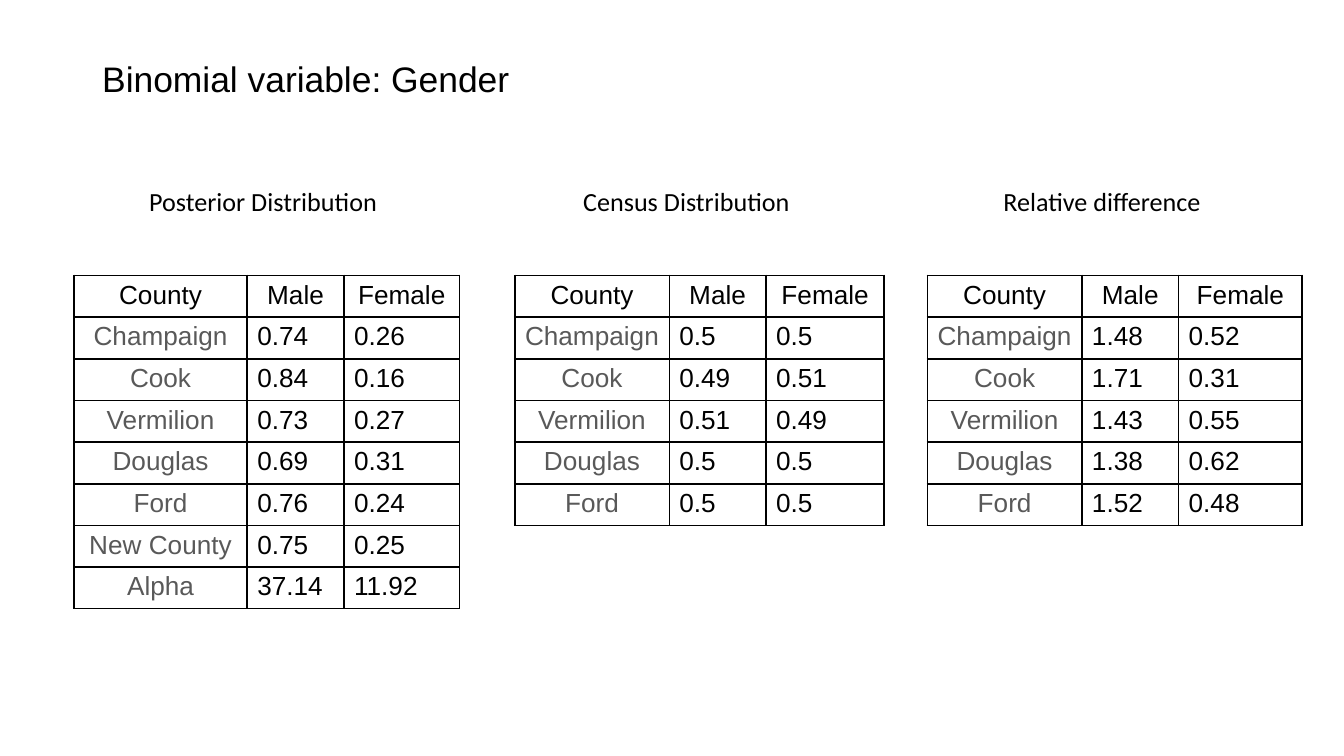
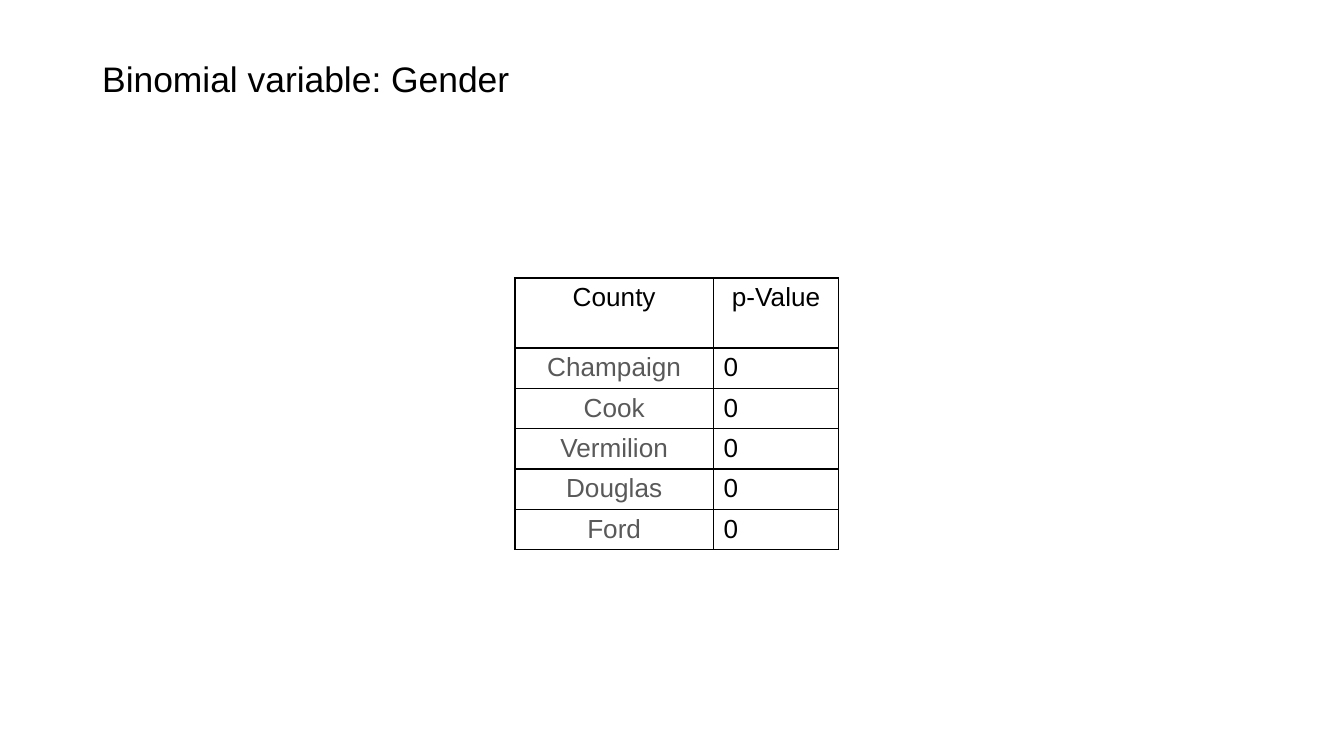
from pptx import Presentation
from pptx.dml.color import RGBColor
from pptx.enum.text import MSO_ANCHOR, MSO_AUTO_SIZE, PP_ALIGN
from pptx.oxml import parse_xml
from pptx.oxml.ns import nsdecls
from pptx.util import Inches, Pt

BLACK = RGBColor(0x00, 0x00, 0x00)
GREY = RGBColor(0x59, 0x59, 0x59)

TITLE = "Binomial variable: Gender"
COUNTIES = ["Champaign", "Cook", "Vermilion", "Douglas", "Ford"]
GENDER_HEADER = ["County", "Male", "Female"]

# Caption, caption left, table left, column widths, row names, values
GENDER_TABLES = [
    ("Posterior Distribution ", 0.86, 0.55, [1.29, 0.72, 0.86],
     COUNTIES + ["New County", "Alpha"],
     [("0.74", "0.26"), ("0.84", "0.16"), ("0.73", "0.27"), ("0.69", "0.31"),
      ("0.76", "0.24"), ("0.75", "0.25"), ("37.14", "11.92")]),
    ("Census Distribution ", 4.01, 3.83, [1.15, 0.72, 0.88], COUNTIES,
     [("0.5", "0.5"), ("0.49", "0.51"), ("0.51", "0.49"), ("0.5", "0.5"),
      ("0.5", "0.5")]),
    ("Relative difference", 7.08, 6.9, [1.15, 0.72, 0.92], COUNTIES,
     [("1.48", "0.52"), ("1.71", "0.31"), ("1.43", "0.55"), ("1.38", "0.62"),
      ("1.52", "0.48")]),
]
P_VALUE_HEADER = ["County", "p-Value"]
P_VALUES = [("0",)] * len(COUNTIES)

TEXT_MARGINS = dict(margin_left=Inches(0.07), margin_right=Inches(0.07),
                    margin_top=Inches(0.04), margin_bottom=Inches(0.04))
CELL_MARGINS = dict(margin_left=Pt(5.4), margin_right=Pt(5.4),
                    margin_top=Pt(2.7), margin_bottom=Pt(2.7))


def set_attrs(obj, values):
    for name, value in values.items():
        setattr(obj, name, value)


def write(tf, text, size, font="Arial", color=BLACK, align=PP_ALIGN.LEFT):
    p = tf.paragraphs[0]
    p.alignment = align
    r = p.add_run()
    r.text = text
    set_attrs(r.font, dict(size=Pt(size), name=font, bold=False))
    r.font.color.rgb = color
    return p


def add_titled_slide(prs):
    slide = prs.slides.add_slide(prs.slide_layouts[5])
    title = slide.shapes.title
    set_attrs(title, dict(left=Inches(0.69), top=Inches(0.3),
                          width=Inches(8.62), height=Inches(0.6)))
    tf = title.text_frame
    set_attrs(tf, dict(TEXT_MARGINS, word_wrap=True,
                       auto_size=MSO_AUTO_SIZE.NONE,
                       vertical_anchor=MSO_ANCHOR.MIDDLE))
    write(tf, TITLE, 19).line_spacing = 0.9
    return slide


def add_caption(slide, text, left):
    box = slide.shapes.add_textbox(Inches(left), Inches(1.34),
                                   Inches(2.24), Inches(0.31))
    tf = box.text_frame
    set_attrs(tf, dict(TEXT_MARGINS, word_wrap=True,
                       auto_size=MSO_AUTO_SIZE.SHAPE_TO_FIT_TEXT))
    write(tf, text, 14, "Calibri", align=PP_ALIGN.CENTER)


def add_borders(cell):
    """Draw a 1 pt black line on all four sides; lines precede the fill."""
    tc_pr = cell._tc.get_or_add_tcPr()
    for i, side in enumerate(("lnL", "lnR", "lnT", "lnB")):
        tc_pr.insert(i, parse_xml(
            f'<a:{side} {nsdecls("a")} w="{Pt(1)}"><a:solidFill>'
            f'<a:srgbClr val="{BLACK}"/></a:solidFill></a:{side}>'))


def add_county_table(slide, left, top, widths, header, names, values,
                     row_height, header_height):
    rows = [header] + [[name, *row] for name, row in zip(names, values)]
    heights = [header_height] + [row_height] * len(names)
    frame = slide.shapes.add_table(
        len(rows), len(header), Inches(left), Inches(top),
        Inches(sum(widths)), Inches(sum(heights)))
    table = frame.table
    set_attrs(table, dict(first_row=False, horz_banding=False))
    for column, width in zip(table.columns, widths):
        column.width = Inches(width)
    for i, (row, height) in enumerate(zip(rows, heights)):
        table.rows[i].height = Inches(height)
        for j, text in enumerate(row):
            cell = table.cell(i, j)
            set_attrs(cell, CELL_MARGINS)
            cell.fill.background()
            add_borders(cell)
            is_label = i == 0 or j == 0
            write(cell.text_frame, text, 14,
                  color=GREY if i > 0 and j == 0 else BLACK,
                  align=PP_ALIGN.CENTER if is_label else PP_ALIGN.LEFT)


def main():
    prs = Presentation()
    prs.slide_width = Inches(10)
    prs.slide_height = prs.slide_width * 9 // 16

    slide = add_titled_slide(prs)
    for caption, caption_left, left, widths, names, values in GENDER_TABLES:
        add_caption(slide, caption, caption_left)
        add_county_table(slide, left, 2.05, widths, GENDER_HEADER, names,
                         values, row_height=0.31, header_height=0.31)

    slide = add_titled_slide(prs)
    add_county_table(slide, 3.83, 2.07, [1.48, 0.93], P_VALUE_HEADER, COUNTIES,
                     P_VALUES, row_height=0.3, header_height=0.52)

    prs.save("out.pptx")


if __name__ == "__main__":
    main()
